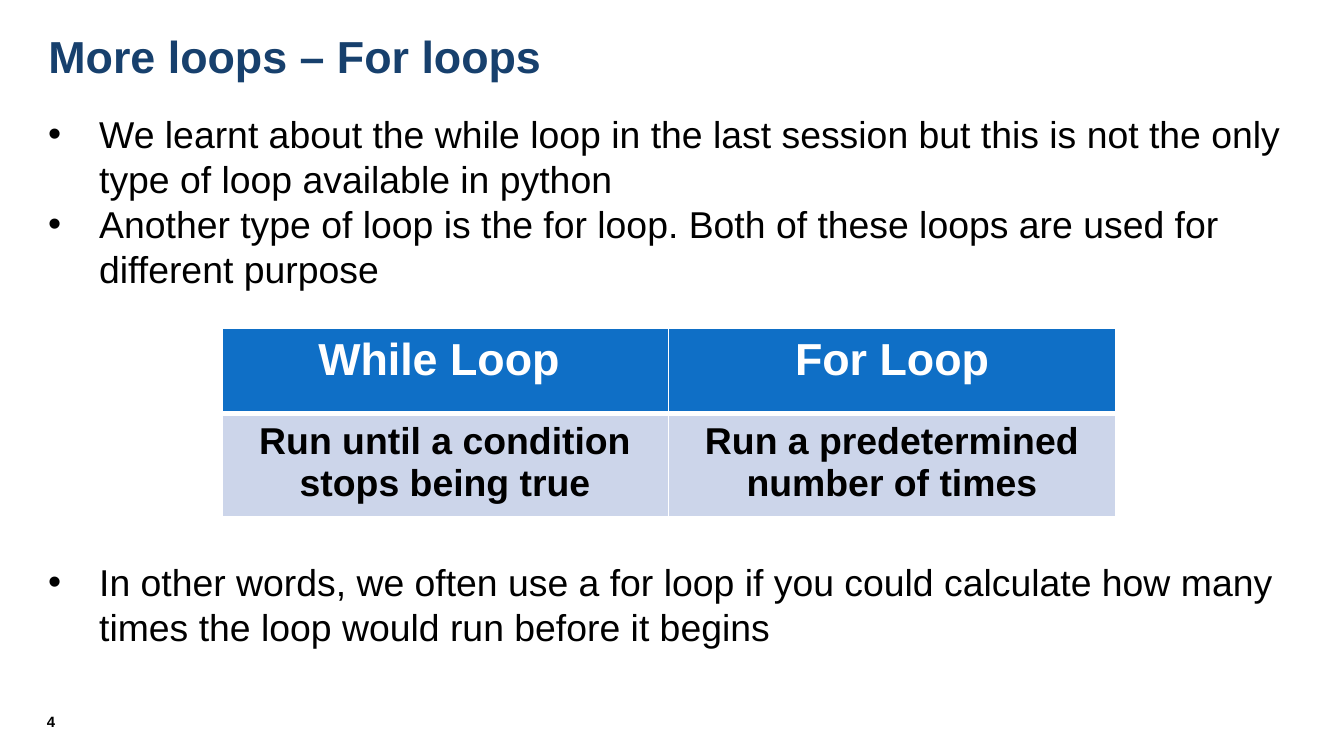
from pptx import Presentation
from pptx.dml.color import RGBColor
from pptx.enum.text import MSO_ANCHOR as ANCHOR, MSO_AUTO_SIZE as AUTO, PP_ALIGN as ALIGN
from pptx.oxml import parse_xml
from pptx.oxml.ns import nsdecls
from pptx.util import Inches, Pt

COLORS = {"title": "17406D", "text": "000000", "white": "FFFFFF",
          "header": "0F6FC6", "body": "CCD5EA"}
BULLETS = [
    ("We learnt about the while loop in the last session but this is not "
     "the only type of loop available in python", 0),
    ("Another type of loop is the for loop. Both of these loops are used "
     "for different purpose", 0),
    ("In other words, we often use a for loop if you could calculate how "
     "many times the loop would run before it begins", 144),
]
ROWS = [
    (0.64, "header", "white", 24, 3, ["While Loop\u00a0", "For Loop"]),
    (0.75, "body", "text", 20, 1, ["Run until a condition stops being true",
                                   "Run a predetermined number of times"]),
]


def write(p, text, size=20, color="text", bold=False, align=ALIGN.LEFT):
    p.alignment = align
    r = p.add_run()
    r.text = text
    r.font.name = "Arial"
    r.font.size = Pt(size)
    r.font.bold = bold
    r.font.color.rgb = RGBColor.from_string(COLORS[color])


prs = Presentation()
prs.slide_width = Inches(10)
prs.slide_height = prs.slide_width * 9 // 16
s = prs.slides.add_slide(prs.slide_layouts[5])

title = s.shapes.title
title.left, title.top = Inches(0.26), Inches(0.16)
title.width, title.height = Inches(9.59), Inches(0.55)
tf = title.text_frame
tf.auto_size = AUTO.NONE
tf.vertical_anchor = ANCHOR.TOP
write(tf.paragraphs[0], "More loops – For loops", size=24, color="title", bold=True)

number = s.shapes.add_textbox(Inches(0.35), Inches(5.3), Inches(0.43), Inches(0.18))
tf = number.text_frame
tf.margin_left = tf.margin_right = tf.margin_top = tf.margin_bottom = 0
write(tf.paragraphs[0], "4", size=8, bold=True)

body = s.shapes.add_textbox(Inches(0.26), Inches(0.78), Inches(9.43), Inches(4.62))
tf = body.text_frame
tf.word_wrap = True
for i, (text, gap) in enumerate(BULLETS):
    p = tf.add_paragraph() if i else tf.paragraphs[0]
    write(p, text)
    p.line_spacing = 1.0
    p.space_before = Pt(gap)
    pPr = p._p.get_or_add_pPr()
    pPr.set("marL", str(Inches(0.38)))
    pPr.set("indent", str(-Inches(0.38)))
    pPr.append(parse_xml(f'<a:buFont {nsdecls("a")} typeface="Arial"/>'))
    pPr.append(parse_xml(f'<a:buChar {nsdecls("a")} char="•"/>'))

table = s.shapes.add_table(2, 2, Inches(1.65), Inches(2.44),
                           Inches(6.65), Inches(1.39)).table
for i, (height, fill, color, size, bottom, texts) in enumerate(ROWS):
    table.rows[i].height = Inches(height)
    top = ROWS[i - 1][4] if i else 1
    for j, text in enumerate(texts):
        cell = table.cell(i, j)
        write(cell.text_frame.paragraphs[0], text, size=size, color=color,
              bold=True, align=ALIGN.CENTER)
        cell.fill.solid()
        cell.fill.fore_color.rgb = RGBColor.from_string(COLORS[fill])
        tcPr = cell._tc.get_or_add_tcPr()
        for k, (side, width) in enumerate(zip("LRTB", (1, 1, top, bottom))):
            tcPr.insert(k, parse_xml(
                f'<a:ln{side} {nsdecls("a")} w="{Pt(width)}"><a:solidFill>'
                f'<a:srgbClr val="{COLORS["white"]}"/></a:solidFill></a:ln{side}>'))

prs.save("out.pptx")
